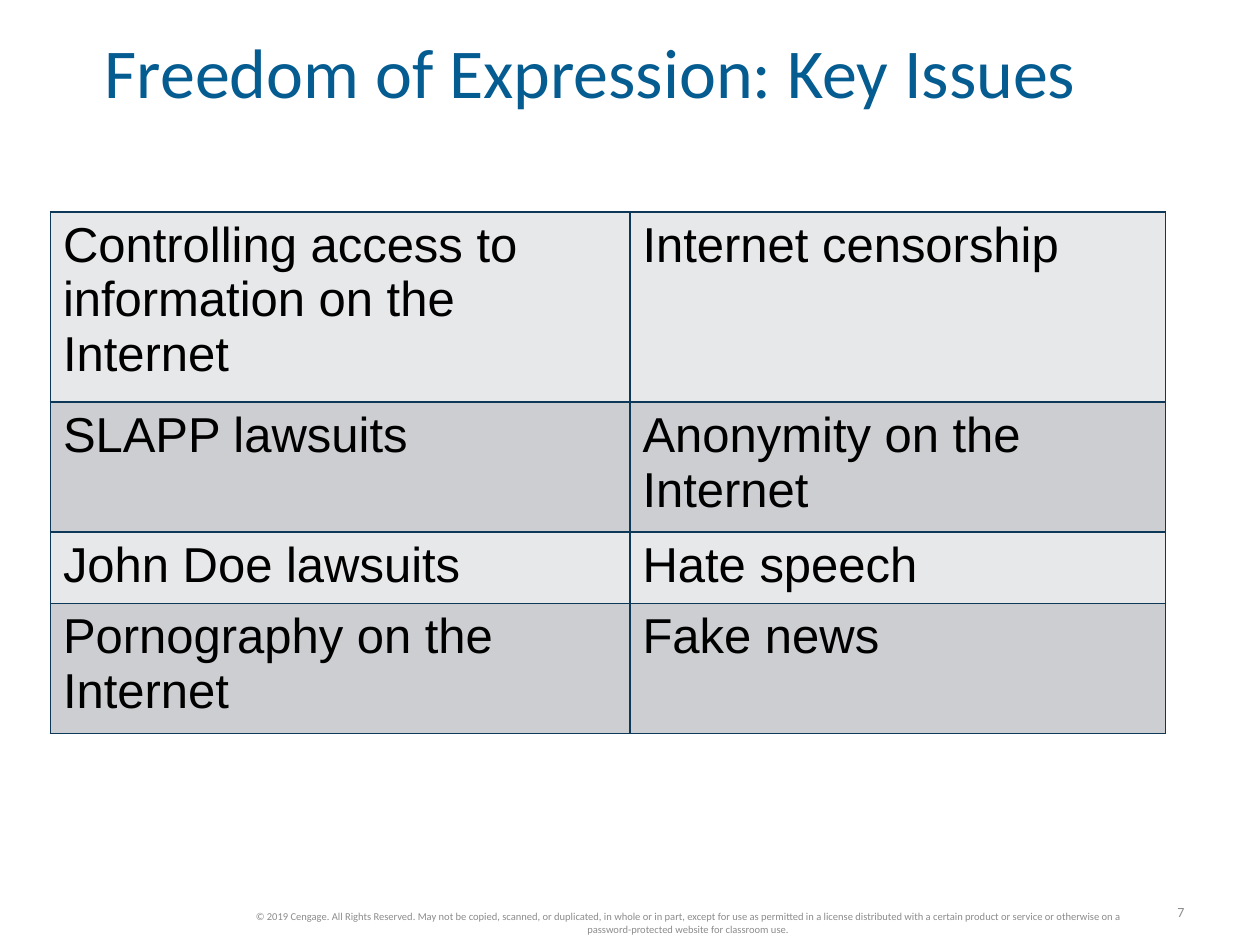
from lxml import etree
from pptx import Presentation
from pptx import util as u
from pptx.dml import color
from pptx.enum import text
from pptx.oxml import ns

ISSUES = [
    ("Controlling access to information on the Internet", "Internet censorship"),
    ("SLAPP lawsuits", "Anonymity on the Internet"),
    ("John Doe lawsuits", "Hate speech"),
    ("Pornography on the Internet", "Fake news"),
]
COLUMN_WIDTHS = (331.2, 306)
ROW_HEIGHTS = (108.6, 74.3, 40.9, 74.3)
ROW_FILLS = ("E7E8EA", "CCCED1")
BORDER = "0D3857"
COPYRIGHT = (
    "© 2019 Cengage. All Rights Reserved. May not be copied, scanned, or duplicated, "
    "in whole or in part, except for use as permitted in a license distributed with a "
    "certain product or service or otherwise on a password-protected website for classroom use."
)


def rgb(value):
    return color.RGBColor.from_string(value)


def points(box):
    return [u.Pt(length) for length in box]


def write(frame, words, size, name, value, align=text.PP_ALIGN.LEFT):
    frame.text = words
    frame.word_wrap = True
    para = frame.paragraphs[0]
    para.alignment = align
    for span in para.runs:
        span.font.size = u.Pt(size)
        span.font.name = name
        span.font.color.rgb = rgb(value)
    return para


def add_title(page, box):
    title = page.shapes.title
    title.left, title.top, title.width, title.height = points(box)
    frame = title.text_frame
    para = write(frame, "Freedom of Expression: Key Issues", 40, "Calibri", "055C91")
    para.line_spacing = 0.85
    frame.vertical_anchor = text.MSO_ANCHOR.MIDDLE
    frame.margin_left = frame.margin_right = frame.margin_top = frame.margin_bottom = 0


def add_borders(cell, value, width):
    properties = cell._tc.get_or_add_tcPr()
    for index, side in enumerate(("lnL", "lnR", "lnT", "lnB")):
        line = etree.Element(ns.qn(f"a:{side}"), w=str(u.Pt(width)))
        fill = etree.SubElement(line, ns.qn("a:solidFill"))
        etree.SubElement(fill, ns.qn("a:srgbClr"), val=value)
        properties.insert(index, line)


def add_issues(page, left, top):
    box = points((left, top, sum(COLUMN_WIDTHS), sum(ROW_HEIGHTS)))
    table = page.shapes.add_table(len(ISSUES), len(COLUMN_WIDTHS), *box).table
    table.first_row = False
    table.horz_banding = False
    for column, width in zip(table.columns, COLUMN_WIDTHS):
        column.width = u.Pt(width)
    for index, (row, height, issues) in enumerate(zip(table.rows, ROW_HEIGHTS, ISSUES)):
        row.height = u.Pt(height)
        for cell, issue in zip(row.cells, issues):
            write(cell.text_frame, issue, 28, "Arial", "000000")
            cell.fill.solid()
            cell.fill.fore_color.rgb = rgb(ROW_FILLS[index % 2])
            add_borders(cell, BORDER, 1)


def add_footer_text(page, box, words, size, align):
    frame = page.shapes.add_textbox(*points(box)).text_frame
    write(frame, words, size, "Calibri", "8C8C8C", align)
    frame.vertical_anchor = text.MSO_ANCHOR.MIDDLE


def main():
    deck = Presentation()
    deck.slide_width, deck.slide_height = u.Pt(720), u.Pt(540)
    page = deck.slides.add_slide(deck.slide_layouts[5])
    add_title(page, (59.8, 23, 632.2, 41.8))
    add_issues(page, 28.8, 121)
    add_footer_text(page, (126, 517.7, 534.2, 19.4), COPYRIGHT, 6, text.PP_ALIGN.CENTER)
    add_footer_text(page, (659.5, 512.6, 24.5, 17.3), "7", 8, text.PP_ALIGN.RIGHT)
    deck.save("out.pptx")


if __name__ == "__main__":
    main()
